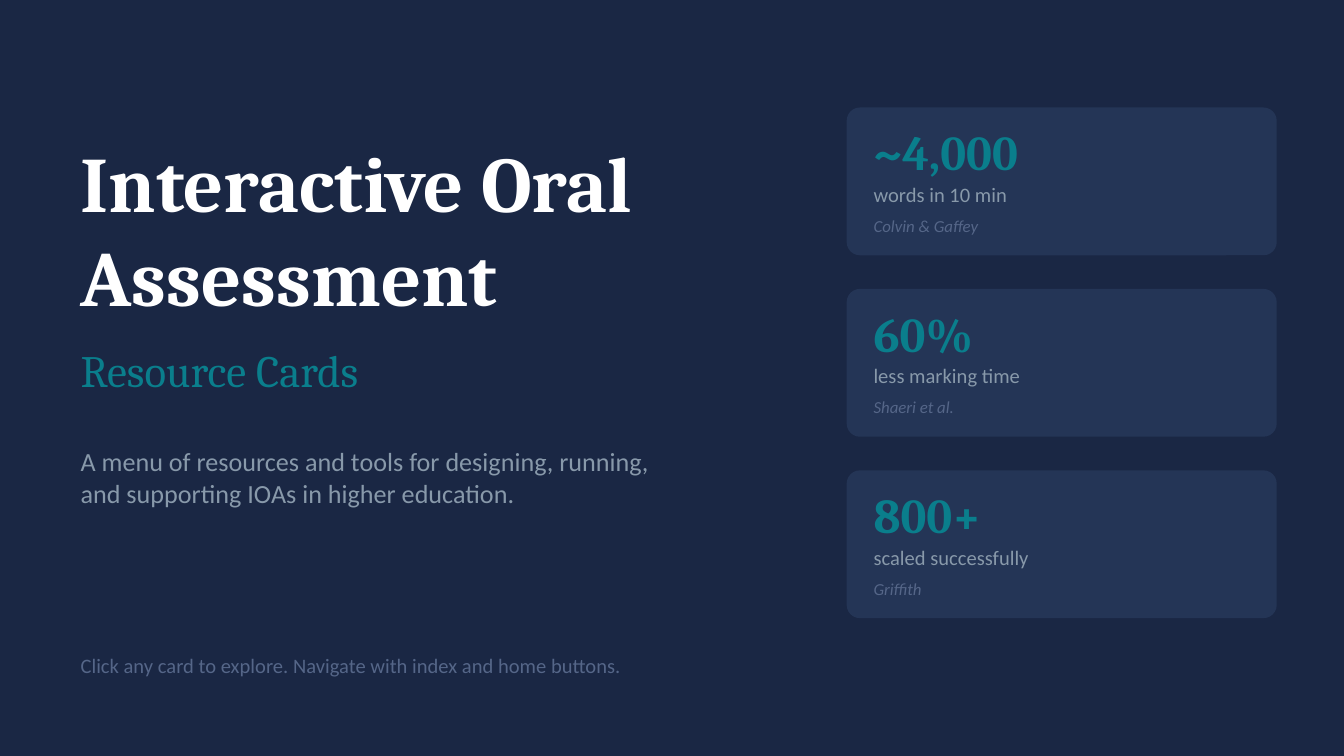
from pptx import Presentation
from pptx.dml.color import RGBColor
from pptx.enum.shapes import MSO_SHAPE
from pptx.enum.text import MSO_ANCHOR
from pptx.util import Inches, Pt

NAVY = RGBColor(0x1A, 0x27, 0x44)
CARD_BLUE = RGBColor(0x24, 0x35, 0x56)
TEAL = RGBColor(0x0A, 0x7E, 0x8C)
WHITE = RGBColor(0xFF, 0xFF, 0xFF)
LIGHT_GREY = RGBColor(0x88, 0x99, 0xAA)
DIM_GREY = RGBColor(0x55, 0x66, 0x88)

HEADING_FONT = "Cambria"
BODY_FONT = "Calibri"

LEFT_MARGIN = 0.6
CARD_LEFT, CARD_TOP = 6.3, 0.8
CARD_WIDTH, CARD_HEIGHT = 3.2, 1.1
CARD_PITCH = 1.35
CARD_PADDING = 0.2

STATISTICS = [
    ("~4,000", "words in 10 min", "Colvin & Gaffey"),
    ("60%", "less marking time", "Shaeri et al."),
    ("800+", "scaled successfully", "Griffith"),
]


def add_text(slide, lines, left, top, width, height, size, color,
             font=BODY_FONT, bold=False, italic=False):
    """Add a margin-free, vertically centred text box, one paragraph per line."""
    box = slide.shapes.add_textbox(
        Inches(left), Inches(top), Inches(width), Inches(height))
    frame = box.text_frame
    frame.word_wrap = True
    frame.vertical_anchor = MSO_ANCHOR.MIDDLE
    frame.margin_left = frame.margin_right = 0
    frame.margin_top = frame.margin_bottom = 0
    for index, line in enumerate(lines):
        paragraph = frame.add_paragraph() if index else frame.paragraphs[0]
        run = paragraph.add_run()
        run.text = line
        run.font.name = font
        run.font.size = Pt(size)
        run.font.bold = bold
        run.font.italic = italic
        run.font.color.rgb = color


def add_statistic_card(slide, top, figure, caption, citation):
    """Add a rounded card holding a figure, its caption and its citation."""
    card = slide.shapes.add_shape(
        MSO_SHAPE.ROUNDED_RECTANGLE, Inches(CARD_LEFT), Inches(top),
        Inches(CARD_WIDTH), Inches(CARD_HEIGHT))
    card.adjustments[0] = 0.09
    card.shadow.inherit = False
    card.fill.solid()
    card.fill.fore_color.rgb = CARD_BLUE
    card.line.fill.background()

    left = CARD_LEFT + CARD_PADDING
    width = CARD_WIDTH - 2 * CARD_PADDING
    add_text(slide, [figure], left, top + 0.1, width, 0.45, 26, TEAL,
             HEADING_FONT, bold=True)
    add_text(slide, [caption], left, top + 0.52, width, 0.25, 11, LIGHT_GREY)
    add_text(slide, [citation], left, top + 0.78, width, 0.2, 9, DIM_GREY,
             italic=True)


def main():
    # Widescreen 16:9 slide
    presentation = Presentation()
    presentation.slide_width = Inches(10)
    presentation.slide_height = Inches(10 * 9 / 16)
    slide = presentation.slides.add_slide(presentation.slide_layouts[6])
    slide.background.fill.solid()
    slide.background.fill.fore_color.rgb = NAVY

    # Title, subtitle and introduction
    add_text(slide, ["Interactive Oral", "Assessment"],
             LEFT_MARGIN, 0.8, 5.5, 1.8, 42, WHITE, HEADING_FONT, bold=True)
    add_text(slide, ["Resource Cards"],
             LEFT_MARGIN, 2.5, 5, 0.5, 24, TEAL, HEADING_FONT)
    add_text(slide, ["A menu of resources and tools for designing, running,",
                     "and supporting IOAs in higher education."],
             LEFT_MARGIN, 3.2, 5, 0.7, 14, LIGHT_GREY)

    # Statistic cards
    for index, statistic in enumerate(STATISTICS):
        add_statistic_card(slide, CARD_TOP + index * CARD_PITCH, *statistic)

    # Navigation hint
    add_text(slide,
             ["Click any card to explore. Navigate with index and home buttons."],
             LEFT_MARGIN, 4.8, 5, 0.3, 11, DIM_GREY)

    presentation.save("out.pptx")


if __name__ == "__main__":
    main()
